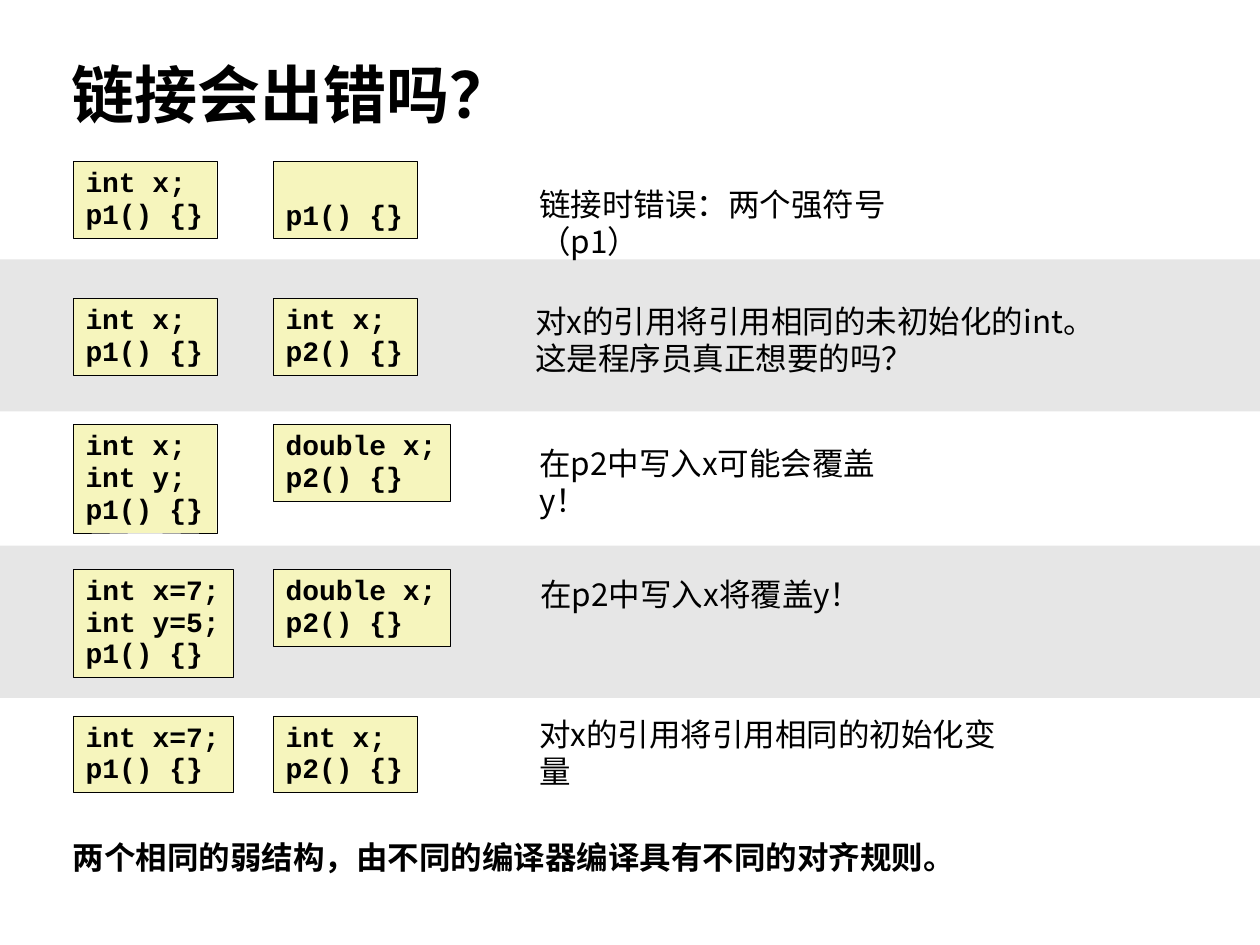
"""Build the slide on whether linking two modules goes wrong."""
from dataclasses import dataclass

from pptx import Presentation
from pptx.dml.color import RGBColor
from pptx.enum.shapes import MSO_SHAPE
from pptx.enum.text import MSO_ANCHOR, MSO_AUTO_SIZE, PP_ALIGN
from pptx.oxml.ns import qn
from pptx.util import Pt


@dataclass(frozen=True)
class Theme:
    """Colours, fonts and type sizes of the slide."""
    ink: RGBColor = RGBColor(0, 0, 0)
    band: RGBColor = RGBColor(0xE6, 0xE6, 0xE6)
    code_fill: RGBColor = RGBColor(0xF6, 0xF5, 0xBD)
    cjk_font: str = "Noto Sans CJK SC"
    title = {"name": "Calibri", "size": Pt(36), "bold": True}
    code = {"name": "Courier New", "size": Pt(16), "bold": True}
    note = {"name": "Noto Sans CJK SC", "size": Pt(18), "bold": False}
    closing = {"name": "Calibri", "size": Pt(18), "bold": True}


THEME = Theme()
SLIDE_WIDTH, SLIDE_HEIGHT = 720, 540
MODULE_LEFTS = (41.8, 156.2)
BANDS = ((311.8, 87), (148.3, 86.8))
CASES = (
    (92.2, (["int x;", "p1() {}"], ["p1() {}"]),
     (301, 103, 266.4), ["链接时错误：两个强符号（p1）"]),
    (170.6, (["int x;", "p1() {}"], ["int x;", "p2() {}"]),
     (298.8, 169.9, 347), ["对x的引用将引用相同的未初始化的int。",
                           "这是程序员真正想要的吗？"]),
    (242.6, (["int x;", "int y;", "p1() {}"], ["double x;", "p2() {}"]),
     (301, 251.3, 230.4), ["在p2中写入x可能会覆盖y！"]),
    (325.4, (["int x=7;", "int y=5;", "p1() {}"], ["double x;", "p2() {}"]),
     (301.7, 326.2, 198), ["在p2中写入x将覆盖y！"]),
    (409, (["int x=7;", "p1() {}"], ["int x;", "p2() {}"]),
     (301, 406.1, 293), ["对x的引用将引用相同的初始化变量"]),
)


def apply(target, values):
    """Set each named attribute of the target."""
    for attribute, value in values.items():
        setattr(target, attribute, value)


def write(frame, lines, style, spacing=1.0, wrap=True, anchor=MSO_ANCHOR.TOP):
    """Fill a text frame with one left-aligned paragraph per line."""
    apply(frame, {"auto_size": MSO_AUTO_SIZE.NONE, "word_wrap": wrap,
                  "vertical_anchor": anchor})
    for index, line in enumerate(lines):
        paragraph = frame.add_paragraph() if index else frame.paragraphs[0]
        apply(paragraph, {"alignment": PP_ALIGN.LEFT, "line_spacing": spacing})
        run = paragraph.add_run()
        run.text = line
        apply(run.font, style)
        run.font.color.rgb = THEME.ink
        east_asian = run.font._element.makeelement(
            qn("a:ea"), {"typeface": THEME.cjk_font})
        run.font._element.append(east_asian)


def add_panel(slide, bounds, fill):
    """Add a flat filled rectangle without an outline."""
    panel = slide.shapes.add_shape(MSO_SHAPE.RECTANGLE, *map(Pt, bounds))
    panel.shadow.inherit = False
    panel.fill.solid()
    panel.fill.fore_color.rgb = fill
    panel.line.fill.background()
    return panel


def add_title(slide, title):
    """Move and fill the title placeholder."""
    heading = slide.shapes.title
    apply(heading, {"left": Pt(33.8), "top": Pt(22.3),
                    "width": Pt(686.2), "height": Pt(61.9)})
    write(heading.text_frame, [title], THEME.title, anchor=MSO_ANCHOR.MIDDLE)


def add_module(slide, left, top, code, line_count, column_width):
    """Add an outlined box of source code, resting on its last line."""
    bounds = (left, top, 9.6 * column_width + 14.9, 18 * line_count + 7.9)
    module = add_panel(slide, bounds, THEME.code_fill)
    module.line.color.rgb = THEME.ink
    module.line.width = Pt(0.25)
    anchor = MSO_ANCHOR.TOP if len(code) == line_count else MSO_ANCHOR.BOTTOM
    write(module.text_frame, code, THEME.code, 0.94, False, anchor)


def add_note(slide, left, top, width, lines, style):
    """Add a wrapped text box as high as its lines."""
    note = slide.shapes.add_textbox(
        *map(Pt, (left, top, width, 20.9 * len(lines) + 7.9)))
    write(note.text_frame, lines, style, 0.98)


def add_case(slide, top, modules, note_place, explanation):
    """Add a pair of modules and what happens when they are linked."""
    for left, code in zip(MODULE_LEFTS, modules):
        add_module(slide, left, top, code, max(2, len(code)),
                   max(map(len, code)))
    add_note(slide, *note_place, explanation, THEME.note)


def main():
    """Build and save the slide."""
    deck = Presentation()
    apply(deck, {"slide_width": Pt(SLIDE_WIDTH), "slide_height": Pt(SLIDE_HEIGHT)})
    slide = deck.slides.add_slide(deck.slide_layouts[5])
    for top, height in BANDS:
        add_panel(slide, (0, top, SLIDE_WIDTH, height), THEME.band)
    add_title(slide, "链接会出错吗？")
    for case in CASES:
        add_case(slide, *case)
    add_note(slide, 34.6, 476.6, 666.7,
             ["两个相同的弱结构，由不同的编译器编译具有不同的对齐规则。"],
             THEME.closing)
    deck.save("out.pptx")


if __name__ == "__main__":
    main()
